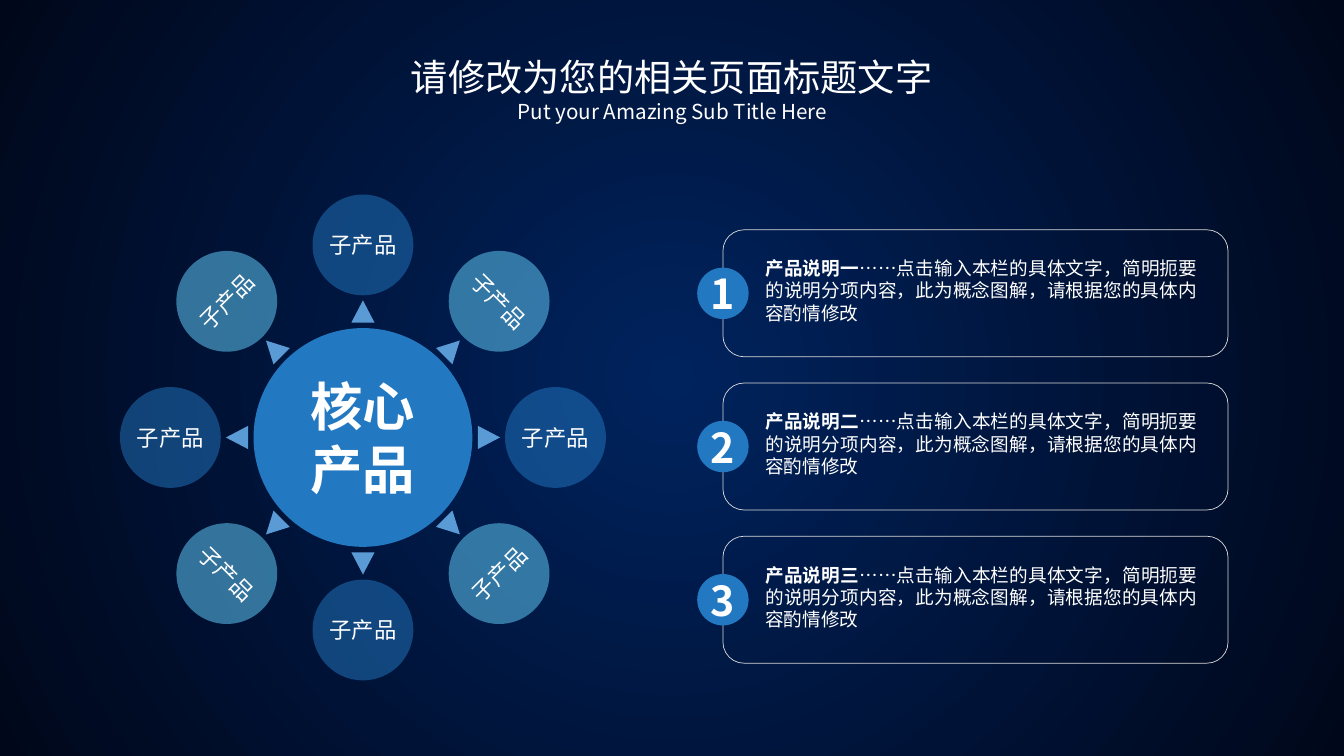
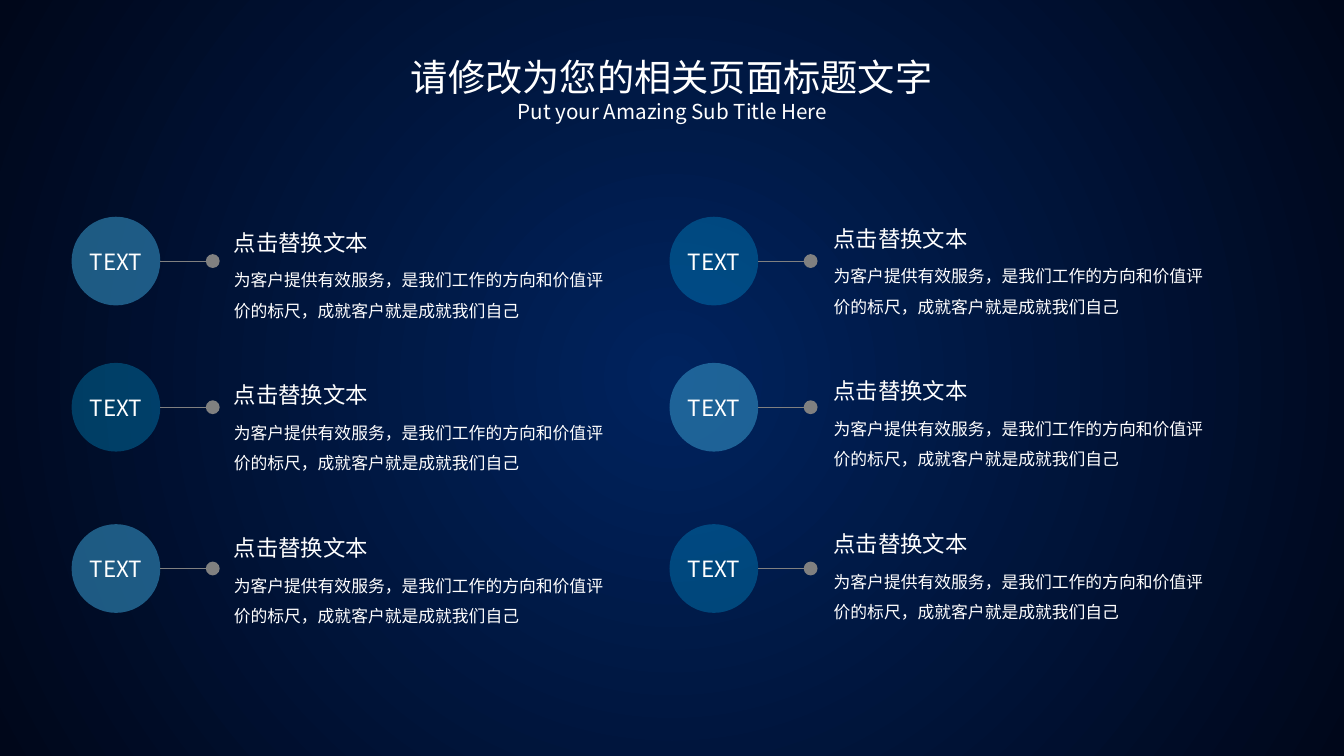
from math import cos, radians, sin

from lxml.etree import SubElement
from pptx import Presentation
from pptx.dml.color import RGBColor
from pptx.enum.shapes import MSO_CONNECTOR, MSO_SHAPE
from pptx.enum.text import MSO_ANCHOR, MSO_AUTO_SIZE, PP_ALIGN
from pptx.oxml.ns import qn
from pptx.util import Inches, Pt

COLORS = {
    "center": "00235E", "edge": "00071A", "white": "FFFFFF",
    "blue": "2378C2", "sky": "55B5E2", "arrow": "5B9BD5", "border": "D9D9D9",
    "steel": "328FC1", "cyan": "00AEEF", "gray": "808080",
}
FONT = "Noto Sans CJK SC"
BODY_FONT = "Arial"

TITLE = "请修改为您的相关页面标题文字"
SUBTITLE = "Put your Amazing Sub Title Here"

CORE = "核心产品"
SUBPRODUCTS = ["子产品"] * 8
SUBPRODUCT_TURNS = (0, 45, 0, 315)
NOTES = ["产品说明一", "产品说明二", "产品说明三"]
NOTE_DETAIL = "……点击输入本栏的具体文字，简明扼要的说明分项内容，此为概念图解，请根据您的具体内容酌情修改"

BADGE = "TEXT"
HEADING = "点击替换文本"
DETAIL = "为客户提供有效服务，是我们工作的方向和价值评价的标尺，成就客户就是成就我们自己"
COLUMNS = [
    {"badge_left": 0.71, "text_left": 2.22, "text_top": 2.22},
    {"badge_left": 6.64, "text_left": 8.17, "text_top": 2.18},
]
BADGE_TOPS = (2.15, 3.6, 5.2)
BADGE_STYLES = [("steel", 60), ("cyan", 30)]


def rgb(name):
    return RGBColor.from_string(COLORS[name])


def inches(*lengths):
    return [Inches(length) for length in lengths]


def write(frame, runs, size, align=PP_ALIGN.CENTER, font=FONT, inset=0):
    """Fill a text frame with one paragraph of (text, bold) runs."""
    frame.word_wrap = True
    if inset is not None:
        frame.margin_left = frame.margin_right = Inches(inset)
        frame.margin_top = frame.margin_bottom = Inches(inset)
    paragraph = frame.paragraphs[0]
    paragraph.alignment = align
    for text, bold in runs:
        run = paragraph.add_run()
        run.text = text
        run.font.size = Pt(size)
        run.font.bold = bold
        run.font.color.rgb = rgb("white")
        run.font.name = font
        SubElement(run.font._element, qn("a:ea"), typeface=font)
    return paragraph


def add_text(slide, box, runs, size, **style):
    frame = slide.shapes.add_textbox(*inches(*box)).text_frame
    paragraph = write(frame, runs, size, **style)
    frame.auto_size = MSO_AUTO_SIZE.SHAPE_TO_FIT_TEXT
    return paragraph


def add_solid(slide, preset, center, size, color, opacity=100, turn=0):
    """Add a borderless shape around its center point."""
    (x, y), (width, height) = center, size
    box = inches(x - width / 2, y - height / 2, width, height)
    shape = slide.shapes.add_shape(preset, *box)
    shape.shadow.inherit = False
    shape.line.fill.background()
    shape.fill.solid()
    shape.fill.fore_color.rgb = rgb(color)
    if opacity < 100:
        tone = shape.element.spPr.find(qn("a:solidFill"))[0]
        SubElement(tone, qn("a:alpha"), val=str(opacity * 1000))
    shape.rotation = turn
    return shape


def add_disc(slide, center, diameter, color, text, size,
             bold=False, opacity=100, turn=0, inset=0):
    disc = add_solid(slide, MSO_SHAPE.OVAL, center, (diameter, diameter),
                     color, opacity, turn)
    frame = disc.text_frame
    frame.vertical_anchor = MSO_ANCHOR.MIDDLE
    write(frame, [(text, bold)], size, inset=inset)
    return disc


def set_background(master):
    """Give every slide a gradient that darkens outwards from the middle."""
    fill = master.background.fill
    fill.gradient()
    for stop, name in zip(fill.gradient_stops, ("center", "edge")):
        stop.color.rgb = rgb(name)
    gradient = master.element.find(".//" + qn("a:gradFill"))
    linear = gradient.find(qn("a:lin"))
    if linear is not None:
        gradient.remove(linear)
    circle = SubElement(gradient, qn("a:path"), path="circle")
    SubElement(circle, qn("a:fillToRect"),
               {side: "50000" for side in ("l", "t", "r", "b")})


def add_titled_slide(prs):
    slide = prs.slides.add_slide(prs.slide_layouts[6])
    add_text(slide, (2.73, 0.54, 7.87, 0.45), [(TITLE, False)], 26.6)
    add_text(slide, (3.87, 0.98, 5.6, 0.25), [(SUBTITLE, False)], 14.7)
    return slide


def add_product_wheel(slide):
    hub = (3.6, 4.34)

    def on_ring(radius, angle):
        return (hub[0] + radius * sin(radians(angle)),
                hub[1] - radius * cos(radians(angle)))

    step = 360 / len(SUBPRODUCTS)
    for index, name in enumerate(SUBPRODUCTS):
        angle = index * step
        color, opacity = (("blue", 50), ("sky", 60))[index % 2]
        add_disc(slide, on_ring(1.91, angle), 1, color, name, 16,
                 opacity=opacity, turn=SUBPRODUCT_TURNS[index % 4])
        add_solid(slide, MSO_SHAPE.ISOSCELES_TRIANGLE, on_ring(1.25, angle),
                  (0.23, 0.22), "arrow", turn=angle)
    add_disc(slide, hub, 2.17, "blue", CORE, 37.4, bold=True, inset=0.1)


def add_product_notes(slide):
    left, first_top, pitch, height = 7.17, 2.28, 1.52, 1.26
    for index, name in enumerate(NOTES):
        top = first_top + index * pitch
        card = slide.shapes.add_shape(MSO_SHAPE.ROUNDED_RECTANGLE,
                                      *inches(left, top, 5.01, height))
        card.shadow.inherit = False
        card.fill.background()
        card.line.color.rgb = rgb("border")
        card.line.width = Pt(0.5)
        add_disc(slide, (left, top + height / 2), 0.51, "blue",
                 str(index + 1), 29.4, bold=True)
        add_text(slide, (left + 0.42, top + 0.27, 4.29, 0.67),
                 [(name, True), (NOTE_DETAIL, False)], 13.3,
                 align=PP_ALIGN.JUSTIFY)


def add_pointer(slide, x, y, length):
    """Add a thin line that ends in a dot."""
    pointer = slide.shapes.add_connector(MSO_CONNECTOR.STRAIGHT,
                                         *inches(x, y, x + length, y))
    pointer.line.color.rgb = rgb("gray")
    pointer.line.width = Pt(0.5)
    SubElement(pointer.line._get_or_add_ln(), qn("a:tailEnd"),
               type="oval", w="lg", len="lg")
    SubElement(pointer.element.spPr, qn("a:effectLst"))


def add_service_item(slide, column, row):
    place = COLUMNS[column]
    diameter = 0.88
    left, middle = place["badge_left"], BADGE_TOPS[row] + diameter / 2
    color, opacity = BADGE_STYLES[(column + row) % 2]
    badge = add_disc(slide, (left + diameter / 2, middle), diameter, color,
                     BADGE, 16, opacity=opacity)
    badge.text_frame.word_wrap = False
    add_pointer(slide, left + diameter, middle, 0.52)

    text_left, top = place["text_left"], place["text_top"] + row * 1.515
    add_text(slide, (text_left, top, 3.88, 0.37), [(HEADING, False)], 16,
             align=PP_ALIGN.LEFT, inset=None)
    detail = add_text(slide, (text_left, top + 0.31, 3.88, 0.71),
                      [(DETAIL, False)], 12, align=PP_ALIGN.LEFT,
                      font=BODY_FONT, inset=None)
    detail.line_spacing = 1.5
    detail.space_after = Pt(6)


def main():
    prs = Presentation()
    prs.slide_width, prs.slide_height = inches(13.33, 7.5)
    set_background(prs.slide_master)

    products = add_titled_slide(prs)
    add_product_wheel(products)
    add_product_notes(products)

    services = add_titled_slide(prs)
    for column in range(len(COLUMNS)):
        for row in range(len(BADGE_TOPS)):
            add_service_item(services, column, row)

    prs.save("out.pptx")


if __name__ == "__main__":
    main()
